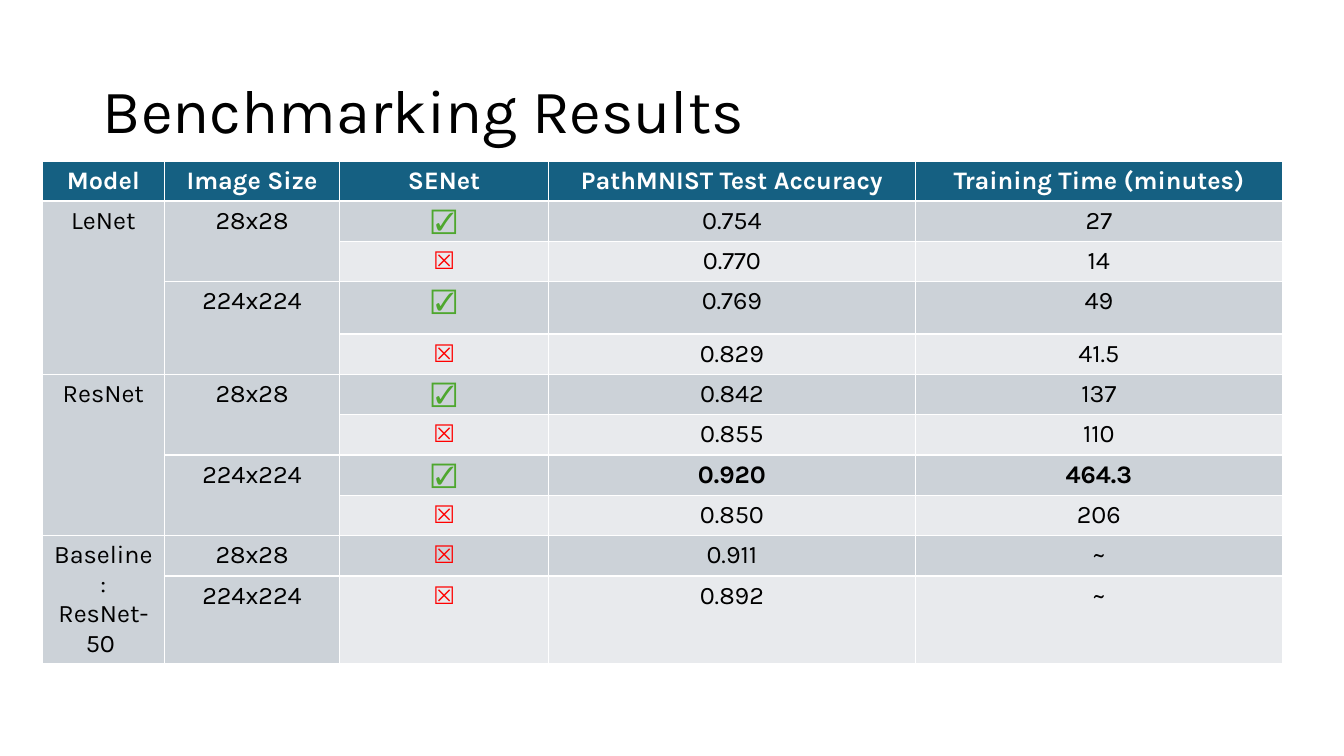
from pptx import Presentation
from pptx.dml.color import RGBColor
from pptx.enum.text import MSO_ANCHOR, PP_ALIGN
from pptx.util import Inches, Pt

BLACK = RGBColor(0x00, 0x00, 0x00)
WHITE = RGBColor(0xFF, 0xFF, 0xFF)
HEADER_BLUE = RGBColor(0x15, 0x60, 0x82)
DARK_BAND = RGBColor(0xCC, 0xD2, 0xD8)
LIGHT_BAND = RGBColor(0xE8, 0xEA, 0xED)
GREEN = RGBColor(0x4E, 0xA7, 0x2E)
RED = RGBColor(0xFF, 0x00, 0x00)
FONT = "Karla"
YES, NO = "☑", "⮽"
MARK_COLORS = {YES: GREEN, NO: RED}

HEADINGS = ["Model", "Image Size", "SENet", "PathMNIST Test Accuracy",
            "Training Time (minutes)"]
RESULTS = [
    ["LeNet", "28x28", YES, "0.754", "27"],
    ["", "", NO, "0.770", "14"],
    ["", "224x224", YES, "0.769", "49"],
    ["", "", NO, "0.829", "41.5"],
    ["ResNet", "28x28", YES, "0.842", "137"],
    ["", "", NO, "0.855", "110"],
    ["", "224x224", YES, "0.920", "464.3"],
    ["", "", NO, "0.850", "206"],
    ["Baseline:\nResNet-50 ", "28x28", NO, "0.911", "~"],
    ["", "224x224", NO, "0.892", "~"],
]
BEST = ("0.920", "464.3")
COLUMN_WIDTHS = [1.21, 1.74, 2.07, 3.64, 3.64]
ROW_HEIGHTS = [0.38, 0.4, 0.4, 0.52] + [0.4] * 6 + [0.87]
# First row, last row and column of each merged block
MERGES = [(1, 4, 0), (5, 8, 0), (9, 10, 0),
          (1, 2, 1), (3, 4, 1), (5, 6, 1), (7, 8, 1)]


def write_cell(cell, text, fill, color, bold):
    cell.fill.solid()
    cell.fill.fore_color.rgb = fill
    cell.text = text
    for paragraph in cell.text_frame.paragraphs:
        paragraph.alignment = PP_ALIGN.CENTER
        paragraph.font.name = FONT
        paragraph.font.size = Pt(18)
        paragraph.font.bold = bold
        paragraph.font.color.rgb = color


prs = Presentation()
prs.slide_width, prs.slide_height = Inches(13.33), Inches(7.5)
slide = prs.slides.add_slide(prs.slide_layouts[5])

title = slide.shapes.title
title.left, title.top = Inches(0.92), Inches(0.4)
title.width, title.height = Inches(11.5), Inches(1.45)
title.text_frame.text = "Benchmarking Results"
title.text_frame.vertical_anchor = MSO_ANCHOR.MIDDLE
heading = title.text_frame.paragraphs[0]
heading.alignment = PP_ALIGN.LEFT
heading.line_spacing = 0.9
heading.font.name = FONT
heading.font.size = Pt(44)
heading.font.color.rgb = BLACK

benchmark = slide.shapes.add_table(
    len(ROW_HEIGHTS), len(COLUMN_WIDTHS), Inches(0.42), Inches(1.6),
    Inches(sum(COLUMN_WIDTHS)), Inches(sum(ROW_HEIGHTS))).table
for column, width in zip(benchmark.columns, COLUMN_WIDTHS):
    column.width = Inches(width)
for row, height in zip(benchmark.rows, ROW_HEIGHTS):
    row.height = Inches(height)

for c, text in enumerate(HEADINGS):
    write_cell(benchmark.cell(0, c), text, HEADER_BLUE, WHITE, True)
for r, result in enumerate(RESULTS, start=1):
    for c, text in enumerate(result):
        band = DARK_BAND if c < 2 or r % 2 else LIGHT_BAND
        write_cell(benchmark.cell(r, c), text, band,
                   MARK_COLORS.get(text, BLACK), text in BEST)
for first, last, c in MERGES:
    benchmark.cell(first, c).merge(benchmark.cell(last, c))

prs.save("out.pptx")
